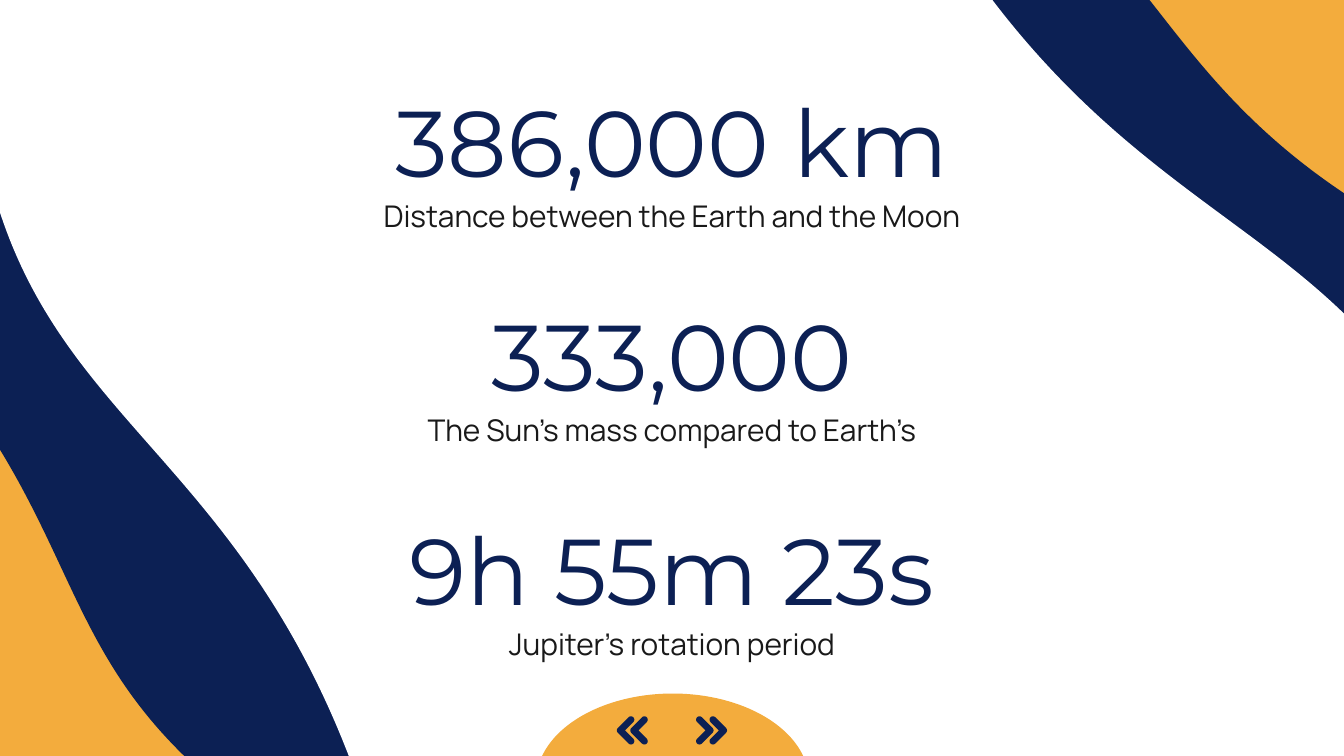
from math import cos, radians, sin, sqrt

from lxml.etree import SubElement
from pptx import Presentation
from pptx.dml.color import RGBColor
from pptx.enum.shapes import MSO_SHAPE as Shape
from pptx.enum.text import MSO_ANCHOR as Anchor, MSO_AUTO_SIZE as AutoSize, PP_ALIGN as Align
from pptx.oxml.ns import qn
from pptx.util import Inches, Pt

NAVY = RGBColor(0x0C, 0x20, 0x54)
ORANGE = RGBColor(0xF3, 0xAC, 0x3D)
WHITE = RGBColor(0xFF, 0xFF, 0xFF)
INK = RGBColor(0x19, 0x19, 0x19)

WAVES = [
    ((-0.87, 0.95, 5.62, 4.41), 45, True, NAVY),
    ((4.51, -0.8, 5.62, 5.56), 207.4, True, NAVY),
    ((2.69, -0.37, 7.7, 7.73), 241.3, False, WHITE),
    ((0.2, -1.58, 7.35, 7.33), 73.4, False, WHITE),
]
FACTS = [
    ("386,000 km", "Distance between the Earth and the Moon"),
    ("333,000", "The Sun’s mass compared to Earth’s"),
    ("9h 55m 23s", "Jupiter's rotation period"),
]
FACT_LEFT, FACT_WIDTH, FACT_STEP = 1.4, 7.2, 1.59
FIGURE_TOP, FIGURE_HEIGHT = 0.59, 0.91
CAPTION_TOP, CAPTION_HEIGHT = 1.36, 0.49


def paint(shape, color):
    shape.shadow.inherit = False
    shape.fill.solid()
    shape.fill.fore_color.rgb = color
    shape.line.fill.background()


def add_turned_shape(shapes, kind, box, rotation, flipped, color):
    shape = shapes.add_shape(kind, *map(Inches, box))
    shape.rotation = rotation
    if flipped:
        shape.element.spPr.find(qn("a:xfrm")).set("flipH", "1")
    paint(shape, color)
    return shape


def add_waves(shapes):
    for order, (box, rotation, flipped, color) in enumerate(WAVES):
        wave = add_turned_shape(shapes, Shape.FLOWCHART_DOCUMENT, box, rotation, flipped, color)
        shapes.element.insert(2 + order, wave.element)


def set_centered_text(holder, text, top, height, font_name, size, color):
    holder.left, holder.top = Inches(FACT_LEFT), Inches(top)
    holder.width, holder.height = Inches(FACT_WIDTH), Inches(height)
    frame = holder.text_frame
    frame.text = text
    frame.word_wrap = True
    frame.auto_size = AutoSize.NONE
    frame.vertical_anchor = Anchor.MIDDLE
    frame.margin_left = frame.margin_right = Inches(0.1)
    frame.margin_top = frame.margin_bottom = Inches(0.1)
    line = frame.paragraphs[0]
    line.alignment = Align.CENTER
    line.space_before = Pt(0)
    properties = line._p.get_or_add_pPr()
    properties.set("marL", "0")
    properties.set("indent", "0")
    SubElement(properties, qn("a:buNone"))
    font = line.runs[0].font
    font.name, font.size, font.bold = font_name, Pt(size), False
    font.color.rgb = color


def add_facts(slide):
    shapes = slide.shapes
    title, *captions, spare = slide.placeholders
    spare.element.getparent().remove(spare.element)
    figures = [title] + [shapes.add_textbox(0, 0, 0, 0) for _ in FACTS[1:]]
    for row, (figure, caption) in enumerate(FACTS):
        offset = row * FACT_STEP
        set_centered_text(figures[row], figure, FIGURE_TOP + offset, FIGURE_HEIGHT,
                          "Montserrat", 50, NAVY)
        set_centered_text(captions[row], caption, CAPTION_TOP + offset, CAPTION_HEIGHT,
                          "Manrope", 16, INK)


def chevron_outline(radius=0.025, reach=0.08):
    near, far = radius, radius + reach
    arcs = [(near, near, 135, 315), (far, far, -45, 45), (near, far + reach, 45, 225)]
    points = [
        (x + radius * cos(radians(angle)), y + radius * sin(radians(angle)))
        for x, y, start, end in arcs
        for angle in range(start, end + 1, 15)
    ]
    return points + [(far - radius * sqrt(2), far)]


def add_double_arrow(shapes, direction):
    arrow = shapes.add_group_shape()
    for gap in (0.18, 0.28):
        points = [(Inches(5 + direction * (gap + x)), Inches(5.33 + y))
                  for x, y in chevron_outline()]
        builder = arrow.shapes.build_freeform(*points[0])
        builder.add_line_segments(points[1:], close=True)
        paint(builder.convert_to_shape(), NAVY)


def add_navigation(shapes):
    dome = add_turned_shape(shapes, Shape.PIE, (3.99, 5.16, 2.03, 1.31), 180, True, ORANGE)
    dome.adjustments[0] = 0
    dome.adjustments[1] = 108.31
    for direction in (1, -1):
        add_double_arrow(shapes, direction)


def main():
    deck = Presentation()
    deck.slide_width = Inches(10)
    deck.slide_height = deck.slide_width * 9 // 16
    slide = deck.slides.add_slide(deck.slide_layouts.get_by_name("Comparison"))
    slide.background.fill.solid()
    slide.background.fill.fore_color.rgb = ORANGE
    add_waves(slide.shapes)
    add_facts(slide)
    add_navigation(slide.shapes)
    deck.save("out.pptx")


if __name__ == "__main__":
    main()
